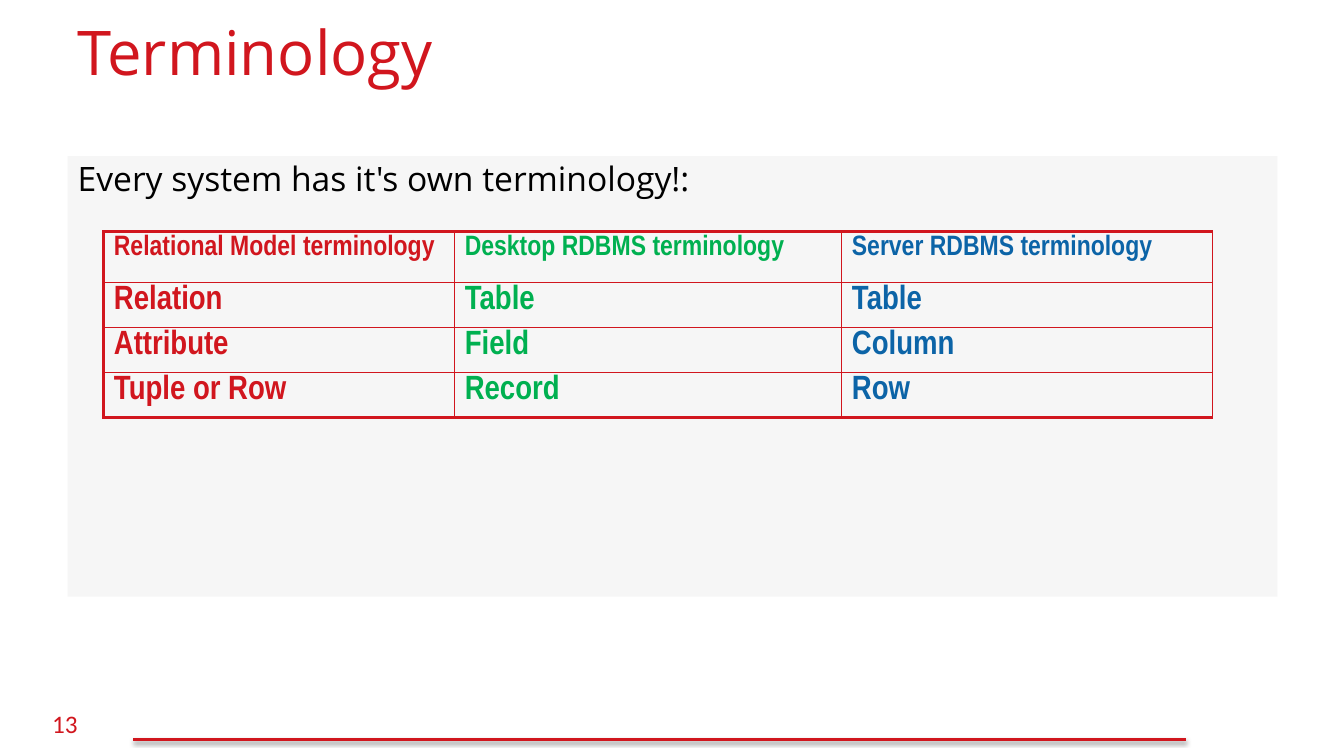
from lxml import etree
from pptx import Presentation
from pptx.dml.color import RGBColor
from pptx.enum.shapes import MSO_CONNECTOR
from pptx.enum.text import MSO_ANCHOR, MSO_AUTO_SIZE, PP_ALIGN
from pptx.oxml import parse_xml
from pptx.oxml.ns import nsdecls, qn
from pptx.util import Inches, Pt

RED = RGBColor(0xD1, 0x16, 0x1E)
GREEN = RGBColor(0x00, 0xB0, 0x50)
BLUE = RGBColor(0x0C, 0x64, 0xA7)
BLACK = RGBColor(0x00, 0x00, 0x00)
PALE_GREY = RGBColor(0xF6, 0xF6, 0xF6)

STRAIGHT = MSO_CONNECTOR.STRAIGHT
TOP = MSO_ANCHOR.TOP
LEFT = PP_ALIGN.LEFT
NO_AUTOFIT = MSO_AUTO_SIZE.NONE

THIN, THICK = 1, 2.25
COLUMN_WIDTHS = [3.48, 3.84, 3.68]
COLUMN_COLOURS = [RED, GREEN, BLUE]
ROW_HEIGHTS = [0.5, 0.43, 0.43, 0.43]
TERMS = [
    ["Relational Model terminology", "Desktop RDBMS terminology", "Server RDBMS terminology"],
    ["Relation", "Table", "Table"],
    ["Attribute", "Field", "Column"],
    ["Tuple or Row", "Record", "Row"],
]


def add_run(para, text, font_name, size, colour, bold=False):
    run = para.add_run()
    run.text = text
    run.font.name = font_name
    run.font.size = Pt(size)
    run.font.bold = bold
    run.font.color.rgb = colour


def fill_placeholder(box, place, text, size, colour):
    """Move a placeholder and give it one left-aligned line without a bullet."""
    box.left, box.top, box.width, box.height = (Inches(length) for length in place)
    frame = box.text_frame
    frame.auto_size = NO_AUTOFIT
    frame.vertical_anchor = TOP
    frame.margin_top = Inches(0.02)
    para = frame.paragraphs[0]
    properties = para._p.get_or_add_pPr()
    properties.set("marL", "0")
    properties.set("indent", "0")
    etree.SubElement(properties, qn("a:buNone"))
    para.alignment = LEFT
    para.space_before = Pt(0)
    add_run(para, text, "Open Sans", size, colour)


def add_border(cell, side, width):
    cell._tc.get_or_add_tcPr().append(parse_xml(
        f'<a:ln{side} {nsdecls("a")} w="{Pt(width)}"><a:solidFill>'
        f'<a:srgbClr val="{RED}"/></a:solidFill></a:ln{side}>'))


def add_terms_table(slide):
    frame = slide.shapes.add_table(
        len(TERMS), len(COLUMN_WIDTHS), Inches(1.03), Inches(2.3),
        Inches(sum(COLUMN_WIDTHS)), Inches(sum(ROW_HEIGHTS)))
    table = frame.table
    table.first_row = False
    table.horz_banding = False
    for column, width in zip(table.columns, COLUMN_WIDTHS):
        column.width = Inches(width)
    last_row = len(TERMS) - 1
    for row_index, terms in enumerate(TERMS):
        table.rows[row_index].height = Inches(ROW_HEIGHTS[row_index])
        for column_index, term in enumerate(terms):
            cell = table.cell(row_index, column_index)
            add_border(cell, "L", THICK if column_index == 0 else THIN)
            add_border(cell, "R", THIN)
            add_border(cell, "T", THICK if row_index == 0 else THIN)
            add_border(cell, "B", THICK if row_index == last_row else THIN)
            cell.fill.background()
            para = cell.text_frame.paragraphs[0]
            para.line_spacing = 0.87
            size = 20 if row_index == 0 else 24
            add_run(para, term, "Arial Narrow", size, COLUMN_COLOURS[column_index], bold=True)


def add_footer_line(slide):
    line = slide.shapes.add_connector(
        STRAIGHT, Inches(1.32), Inches(7.34), Inches(11.76), Inches(7.34))
    line.line.color.rgb = RED
    line.line.width = Pt(2)
    line._element.spPr.append(parse_xml(
        f'<a:effectLst {nsdecls("a")}><a:outerShdw blurRad="{Pt(3.1)}" dist="{Pt(1.6)}" '
        'dir="5400000" rotWithShape="0"><a:srgbClr val="000000"><a:alpha val="38000"/>'
        '</a:srgbClr></a:outerShdw></a:effectLst>'))


def add_page_number(slide, number):
    box = slide.shapes.add_textbox(Inches(0.42), Inches(6.98), Inches(0.5), Inches(0.4))
    box.text_frame.word_wrap = False
    para = box.text_frame.paragraphs[0]
    para.alignment = LEFT
    add_run(para, number, "Calibri", 18, RED)


def main():
    deck = Presentation()
    deck.slide_width = Inches(13.33)
    deck.slide_height = Inches(7.5)
    slide = deck.slides.add_slide(deck.slide_layouts[1])
    add_footer_line(slide)
    add_page_number(slide, "13")
    fill_placeholder(slide.shapes.title, (0.67, 0.12, 12, 1.16), "Terminology", 44, RED)
    body = slide.placeholders[1]
    fill_placeholder(body, (0.67, 1.55, 12, 4.37),
                     "Every system has it's own terminology!:", 24, BLACK)
    body.fill.solid()
    body.fill.fore_color.rgb = PALE_GREY
    add_terms_table(slide)
    deck.save("out.pptx")


if __name__ == "__main__":
    main()
